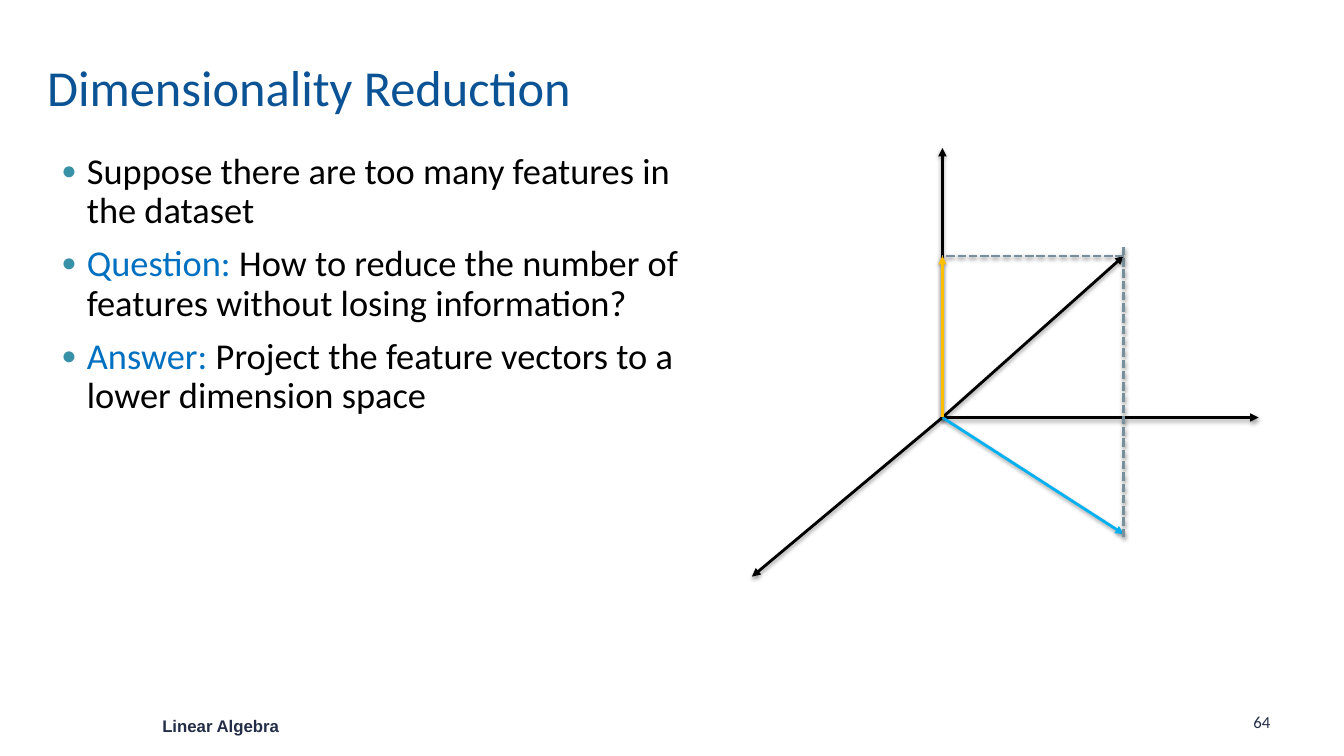
"""Build the Dimensionality Reduction slide with its vector projection sketch."""
from lxml import etree
from pptx import Presentation
from pptx.dml.color import RGBColor
from pptx.enum.dml import MSO_LINE
from pptx.enum.shapes import MSO_CONNECTOR
from pptx.enum.text import MSO_ANCHOR
from pptx.oxml import parse_xml
from pptx.oxml.ns import nsdecls, qn
from pptx.util import Cm, Pt

STRAIGHT = MSO_CONNECTOR.STRAIGHT
DASH = MSO_LINE.SQUARE_DOT
TOP, MIDDLE = MSO_ANCHOR.TOP, MSO_ANCHOR.MIDDLE

THEME = {
    "font": "Calibri", "foot_font": "Arial",
    "title": "0B5394", "text": "000000", "key": "0070C0",
    "bullet": "3891A7", "foot": "232D47",
    "axis": "000000", "plane": "00B0F0", "height": "FFC000", "guide": "78909C",
    "title_size": 36, "body_size": 26, "foot_size": 12, "line": 2,
}

TITLE = "Dimensionality Reduction"
POINTS = [
    ("", "Suppose there are too many features in the dataset"),
    ("Question: ", "How to reduce the number of features without losing information?"),
    ("Answer: ", "Project the feature vectors to a lower dimension space"),
]
FOOTER = "Linear Algebra"
NUMBER = "64"

ORIGIN = X, Y = 23.75, 10.52
POINT = PX, PY = 28.32, 6.45
LINES = [
    ((X, 3.73), ORIGIN, "axis", True),
    ((31.72, Y), ORIGIN, "axis", True),
    ((18.95, 14.53), ORIGIN, "axis", True),
    (POINT, ORIGIN, "axis", True),
    ((PX, 13.46), ORIGIN, "plane", True),
    ((PX, 6.22), (PX, 13.59), "guide", False),
    (POINT, (X, PY), "guide", False),
    ((X, PY), ORIGIN, "height", True),
]

SHADOW = (
    f'<a:effectLst {nsdecls("a")}>'
    f'<a:outerShdw blurRad="{Pt(3.1)}" dist="{Pt(1.6)}" dir="5400000" rotWithShape="0">'
    '<a:srgbClr val="000000"><a:alpha val="38000"/></a:srgbClr>'
    '</a:outerShdw></a:effectLst>'
)


def color(name):
    return RGBColor.from_string(THEME[name])


def style(font, size, tone, face="font", bold=False):
    font.name = THEME[face]
    font.size = Pt(THEME[size])
    font.color.rgb = color(tone)
    font.bold = bold


def add_box(slide, place, anchor=TOP):
    frame = slide.shapes.add_textbox(*map(Cm, place)).text_frame
    frame.word_wrap = True
    frame.vertical_anchor = anchor
    return frame


def add_label(slide, text, place, look, anchor=TOP):
    frame = add_box(slide, place, anchor)
    frame.text = text
    para = frame.paragraphs[0]
    para.line_spacing = 0.9 if anchor == MIDDLE else 1.0
    style(para.runs[0].font, *look)


def add_bullet(para):
    props = para._p.get_or_add_pPr()
    props.set("marL", str(Cm(0.64)))
    props.set("indent", str(-Cm(0.64)))
    tint = etree.SubElement(props, qn("a:buClr"))
    etree.SubElement(tint, qn("a:srgbClr")).set("val", THEME["bullet"])
    etree.SubElement(props, qn("a:buSzPct")).set("val", "70000")
    etree.SubElement(props, qn("a:buFont")).set("typeface", THEME["foot_font"])
    etree.SubElement(props, qn("a:buChar")).set("char", "●")


def add_points(slide, place):
    frame = add_box(slide, place)
    for i, parts in enumerate(POINTS):
        para = frame.add_paragraph() if i else frame.paragraphs[0]
        add_bullet(para)
        para.line_spacing = 0.9
        para.space_before = Pt(10 if i else 0)
        for text, tone in zip(parts, ("key", "text")):
            if text:
                run = para.add_run()
                run.text = text
                style(run.font, "body_size", tone)


def add_line(slide, start, end, tone, arrow):
    link = slide.shapes.add_connector(STRAIGHT, *map(Cm, start + end))
    link.line.color.rgb = color(tone)
    link.line.width = Pt(THEME["line"])
    if arrow:
        head = etree.SubElement(link.line._get_or_add_ln(), qn("a:headEnd"))
        head.set("type", "triangle")
    else:
        link.line.dash_style = DASH
    link._element.spPr.append(parse_xml(SHADOW))


def main():
    deck = Presentation()
    deck.slide_width, deck.slide_height = Cm(33.87), Cm(19.05)
    slide = deck.slides.add_slide(deck.slide_layouts[6])
    add_label(slide, FOOTER, (3.84, 17.91, 5.56, 1.27),
              ("foot_size", "foot", "foot_font", True))
    add_label(slide, NUMBER, (31.34, 17.81, 1.7, 0.76), ("foot_size", "foot"))
    add_label(slide, TITLE, (0.94, 1.12, 33.73, 2.29), ("title_size", "title"), MIDDLE)
    add_points(slide, (1.3, 3.73, 17.04, 14))
    for line in LINES:
        add_line(slide, *line)
    deck.save("out.pptx")


if __name__ == "__main__":
    main()
